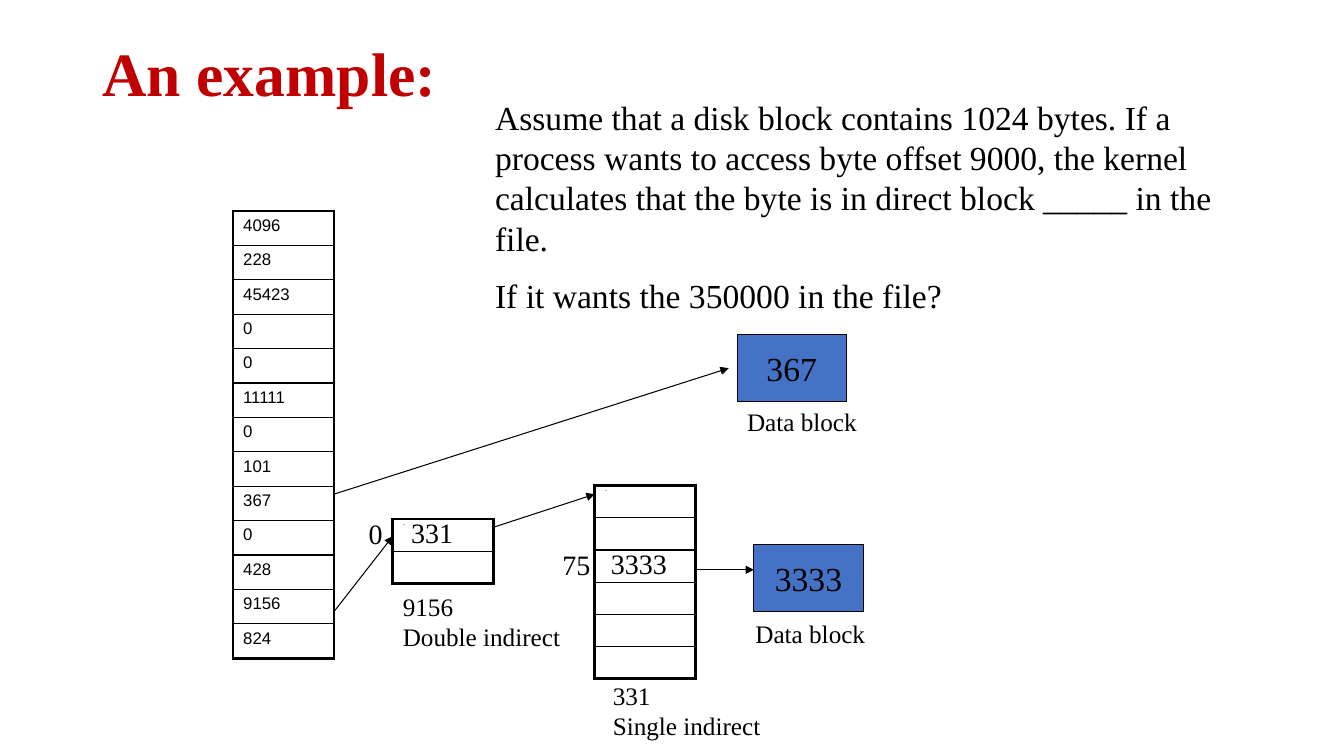
from lxml.etree import SubElement
from pptx import Presentation
from pptx.dml.color import RGBColor
from pptx.enum.shapes import MSO_CONNECTOR, MSO_SHAPE
from pptx.enum.text import MSO_ANCHOR, PP_ALIGN
from pptx.oxml.ns import qn
from pptx.util import Pt

SERIF = "Times New Roman"
BLACK, RED, BLUE = "000000", "C00000", "4472C4"
INODE = [4096, 228, 45423, 0, 0, 11111, 0, 101, 367, 0, 428, 9156, 824]


def color(value):
    return RGBColor.from_string(value)


def add_run(p, text, size, font=SERIF, fill=BLACK, bold=False):
    r = p.add_run()
    r.text = text
    r.font.name, r.font.size, r.font.bold = font, Pt(size), bold
    r.font.color.rgb = color(fill)


def add_text(s, x, y, w, h, lines, size):
    """Text box whose lines are parted by line breaks."""
    tf = s.shapes.add_textbox(Pt(x), Pt(y), Pt(w), Pt(h)).text_frame
    tf.word_wrap = True
    p = tf.paragraphs[0]
    for i, line in enumerate(lines):
        if i:
            p.add_line_break()
        add_run(p, line, size)
    return tf


def set_border(cell, side, width):
    ln = SubElement(cell._tc.get_or_add_tcPr(), qn("a:" + side), w=str(Pt(width)))
    fill = SubElement(ln, qn("a:solidFill"))
    SubElement(fill, qn("a:srgbClr"), val=BLACK)


def add_block_table(s, x, y, w, row_h, values, size):
    """One-column table with a heavy frame and thin inner rules."""
    n = len(values)
    frame = s.shapes.add_table(n, 1, Pt(x), Pt(y), Pt(w), Pt(row_h * n))
    table = frame.table
    table.first_row = table.horz_banding = False
    table.columns[0].width = Pt(w)
    for i, value in enumerate(values):
        table.rows[i].height = Pt(row_h)
        cell = table.cell(i, 0)
        set_border(cell, "lnL", 2.25)
        set_border(cell, "lnR", 2.25)
        set_border(cell, "lnT", 2.25 if i == 0 else 1)
        set_border(cell, "lnB", 2.25 if i == n - 1 else 1)
        cell.fill.background()
        p = cell.text_frame.paragraphs[0]
        if value is None:
            cell.margin_top = cell.margin_bottom = 0
            SubElement(p._p, qn("a:endParaRPr"), sz="1200")
        else:
            add_run(p, str(value), size, "Arial")


def add_arrow(s, x1, y1, x2, y2):
    line = s.shapes.add_connector(MSO_CONNECTOR.STRAIGHT, Pt(x1), Pt(y1), Pt(x2), Pt(y2))
    line.line.color.rgb = color(BLACK)
    line.line.width = Pt(0.75)
    spPr = line._element.spPr
    SubElement(spPr.get_or_add_ln(), qn("a:tailEnd"), type="triangle")
    SubElement(spPr, qn("a:effectLst"))


def add_data_block(s, x, y, w, h, number, caption_dx, caption_dy):
    sp = s.shapes.add_shape(MSO_SHAPE.RECTANGLE, Pt(x), Pt(y), Pt(w), Pt(h))
    sp.shadow.inherit = False
    sp.fill.solid()
    sp.fill.fore_color.rgb = color(BLUE)
    sp.line.color.rgb = color(BLACK)
    sp.line.width = Pt(0.75)
    tf = sp.text_frame
    tf.word_wrap = False
    tf.vertical_anchor = MSO_ANCHOR.MIDDLE
    p = tf.paragraphs[0]
    p.alignment = PP_ALIGN.CENTER
    add_run(p, number, 24)
    add_text(s, x + caption_dx, y + h + caption_dy, 168, 29, ["Data block"], 18)


def add_indirect_block(s, x, y, rows, row, index, index_dx, entry, entry_dx,
                       caption, caption_dx, caption_dy):
    """Pointer block with one filled entry, its index and a caption."""
    w, row_h = 72, 23.04
    add_block_table(s, x, y, w, row_h, ["331"] + [None] * (rows - 1), 1)
    entry_y = y + row * row_h - 5.8
    add_text(s, x + entry_dx, entry_y, 61, 31, [entry], 20)
    add_text(s, x + index_dx, entry_y + 0.5, 61, 31, [index], 20)
    add_text(s, x + caption_dx, y + rows * row_h + caption_dy, 132, 50, caption, 18)


def add_title(s, x, y, w, h):
    title = s.shapes.title
    title.left, title.top, title.width, title.height = Pt(x), Pt(y), Pt(w), Pt(h)
    tf = title.text_frame
    tf.vertical_anchor = MSO_ANCHOR.TOP
    tf.margin_top = Pt(2.2)
    p = tf.paragraphs[0]
    p.alignment = PP_ALIGN.LEFT
    p.line_spacing = 0.9
    add_run(p, "An example:", 44, fill=RED, bold=True)


def add_question(s, x, y, w, h):
    tf = add_text(s, x, y, w, h, [
        "Assume that a disk block contains 1024 bytes. If a process wants to access "
        "byte offset 9000, the kernel calculates that the byte is in direct block "
        "_____ in the file."], 24)
    p = tf.add_paragraph()
    p.space_before = Pt(12)
    add_run(p, "If it wants the 350000 in the file?", 24)


def add_example_slide(prs):
    s = prs.slides.add_slide(prs.slide_layouts[5])
    add_title(s, 66, 28.8, 828, 104.4)
    add_question(s, 346.5, 65.5, 566, 167)

    # Block addresses held by the inode
    add_block_table(s, 166.5, 150.7, 72, 24.6, INODE, 12)

    # Direct access
    add_data_block(s, 526.5, 239, 78, 48, "367", 0, 0)
    add_arrow(s, 238.5, 353, 520.5, 263)

    # Double indirect, single indirect, data
    add_indirect_block(s, 280.6, 370.8, 2, 0, "0", -24.3, "331", 6,
                       ["9156", "Double indirect"], 0, 2)
    add_indirect_block(s, 424.8, 346.8, 6, 2, "75", -30.2, "3333", 4.5,
                       ["331", "Single indirect"], 5.8, -2.5)
    add_data_block(s, 538.5, 389, 78, 48, "3333", -6, 1)
    add_arrow(s, 238.5, 437, 280.6, 383)
    add_arrow(s, 352.8, 376.5, 424.8, 353)
    add_arrow(s, 497, 407, 538.5, 407)


def main():
    prs = Presentation()
    prs.slide_width, prs.slide_height = Pt(960), Pt(540)
    add_example_slide(prs)
    prs.save("out.pptx")


if __name__ == "__main__":
    main()
